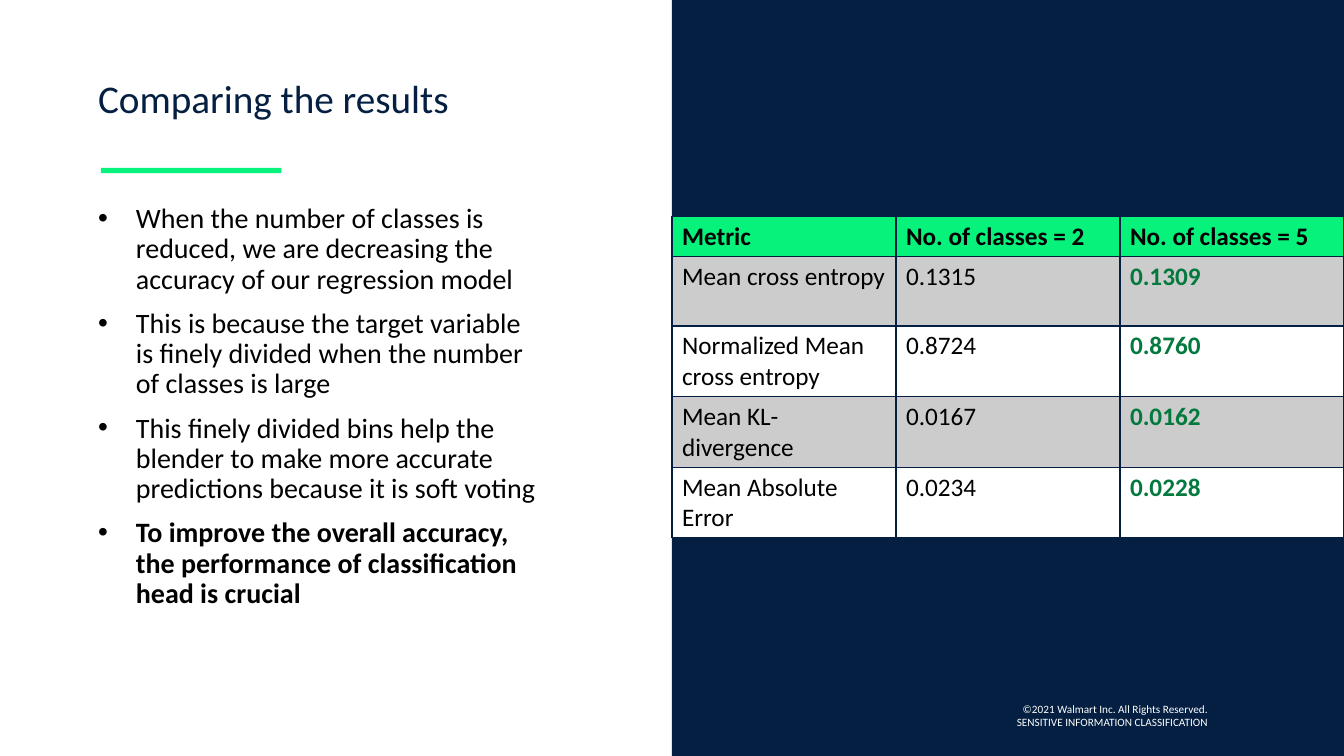
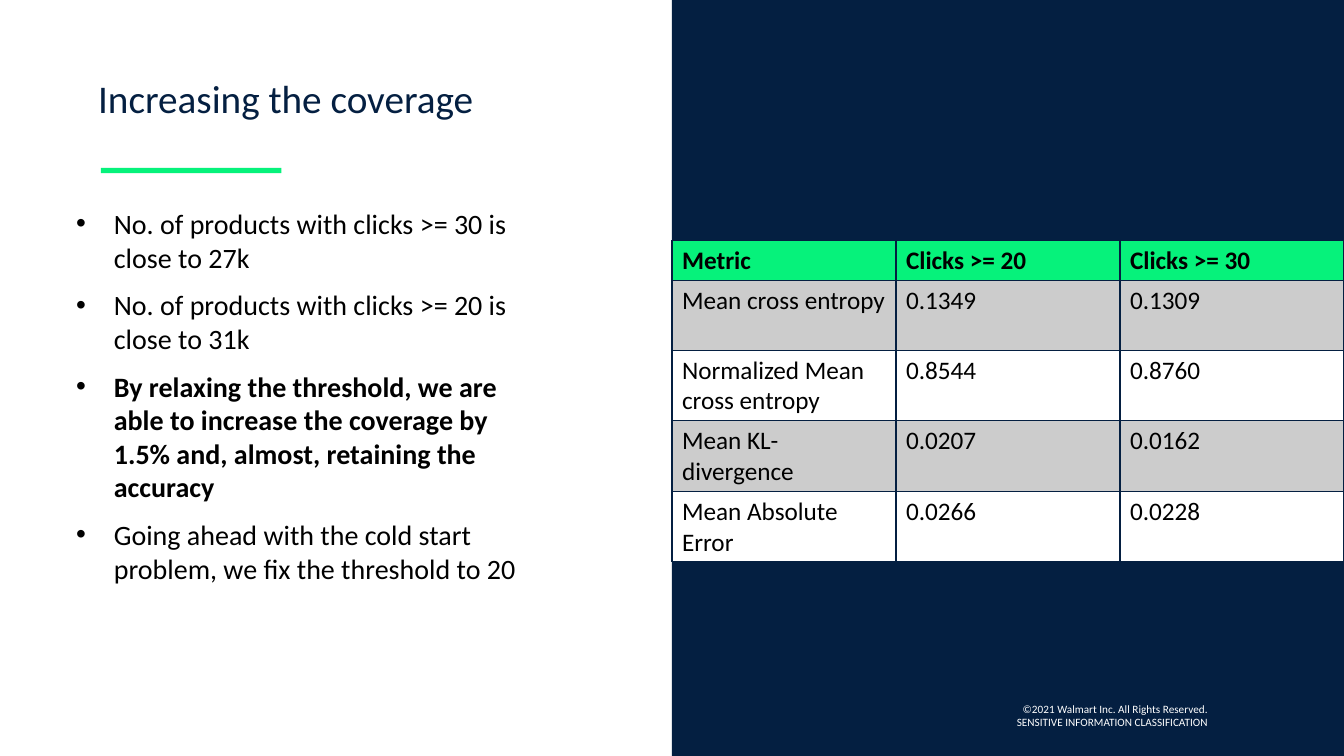
from lxml import etree
from pptx import Presentation
from pptx import util as u
from pptx.dml.color import RGBColor
from pptx.enum import shapes, text
from pptx.oxml import ns

PX = 9525
WIDE, HIGH, HALF = 1280, 720, 640
FONT = "Calibri"
HUES = {"navy": "041F41", "lime": "06F27B", "gray": "CCCCCC",
        "white": "FFFFFF", "black": "000000", "green": "03793D"}
FOOT = "©2021 Walmart Inc. All Rights Reserved.\vSENSITIVE INFORMATION CLASSIFICATION"
NAMES = ["Mean cross entropy", "Normalized Mean cross entropy",
         "Mean KL-divergence", "Mean Absolute Error"]
PAGES = [
    {"title": "Comparing the results",
     "body": (84, 190, 437, 454), "lead": 0.9, "strong": 3,
     "items": [
         "When the number of classes is reduced, we are decreasing the accuracy of our regression model",
         "This is because the target variable is finely divided when the number of classes is large",
         "This finely divided bins help the blender to make more accurate predictions because it is soft voting",
         "To improve the overall accuracy, the performance of classification head is crucial"],
     "top": 206, "best": 2,
     "head": ["Metric", "No. of classes = 2", "No. of classes = 5"],
     "data": [("0.1315", "0.1309"), ("0.8724", "0.8760"),
              ("0.0167", "0.0162"), ("0.0234", "0.0228")]},
    {"title": "Increasing the coverage",
     "body": (63, 192, 449, 485), "lead": 1.0, "strong": 2,
     "items": [
         "No. of products with clicks >= 30 is close to 27k",
         "No. of products with clicks >= 20 is close to 31k",
         "By relaxing the threshold, we are able to increase the coverage by 1.5% and, almost, retaining the accuracy",
         "Going ahead with the cold start problem, we fix the threshold to 20"],
     "top": 229, "best": None,
     "head": ["Metric", "Clicks >= 20", "Clicks >= 30"],
     "data": [("0.1349", "0.1309"), ("0.8544", "0.8760"),
              ("0.0207", "0.0162"), ("0.0266", "0.0228")]},
]


def style(frame, size, hue, bold=False):
    for para in frame.paragraphs:
        for run in para.runs:
            run.font.name = FONT
            run.font.size = u.Pt(size)
            run.font.bold = bold
            run.font.color.rgb = RGBColor.from_string(HUES[hue])


def write(slide, box, words, size, hue):
    frame = slide.shapes.add_textbox(*[n * PX for n in box]).text_frame
    frame.word_wrap = True
    frame.text = words
    style(frame, size, hue)
    return frame


deck = Presentation()
deck.slide_width, deck.slide_height = WIDE * PX, HIGH * PX

for page in PAGES:
    slide = deck.slides.add_slide(deck.slide_layouts[6])

    # Panel, accent bar, footer and title
    for box, hue in [((HALF, 0, HALF, HIGH), "navy"), ((96, 160, 172, 5), "lime")]:
        block = slide.shapes.add_shape(shapes.MSO_SHAPE.RECTANGLE, *[n * PX for n in box])
        block.shadow.inherit = False
        block.fill.solid()
        block.fill.fore_color.rgb = RGBColor.from_string(HUES[hue])
        block.line.fill.background()
    foot = write(slide, (857, 664, 303, 36), FOOT, 8, "white")
    foot.paragraphs[0].alignment = text.PP_ALIGN.RIGHT
    write(slide, (84, 66, 407, 55), page["title"], 28, "navy")

    # Bullets
    body = write(slide, page["body"], "\n".join(page["items"]), 20, "black")
    for i, para in enumerate(body.paragraphs):
        props = para._p.get_or_add_pPr()
        props.set("marL", str(36 * PX))
        props.set("indent", str(-36 * PX))
        etree.SubElement(props, ns.qn("a:buFont"), typeface="Arial")
        etree.SubElement(props, ns.qn("a:buChar"), char="•")
        para.line_spacing = page["lead"]
        para.space_before = u.Pt(10 if i else 0)
        para.runs[0].font.bold = i == page["strong"]

    # Table of metrics
    rows = [page["head"]] + [[name, *vals] for name, vals in zip(NAMES, page["data"])]
    cols = len(page["head"])
    grid = slide.shapes.add_table(len(rows), cols, HALF * PX, page["top"] * PX,
                                  HALF * PX, 302 * PX).table
    grid.horz_banding = False
    for r, row in enumerate(rows):
        grid.rows[r].height = (66 if r else 38) * PX
        fill = "lime" if r == 0 else "gray" if r % 2 else "white"
        for c, words in enumerate(row):
            cell = grid.cell(r, c)
            props = cell._tc.get_or_add_tcPr()
            for side in ("lnL", "lnR", "lnT", "lnB"):
                edge = etree.SubElement(props, ns.qn("a:" + side), w=str(u.Pt(1)))
                solid = etree.SubElement(edge, ns.qn("a:solidFill"))
                etree.SubElement(solid, ns.qn("a:srgbClr"), val=HUES["navy"])
            cell.fill.solid()
            cell.fill.fore_color.rgb = RGBColor.from_string(HUES[fill])
            cell.text_frame.text = words
            best = r > 0 and c == page["best"]
            style(cell.text_frame, 18, "green" if best else "black", r == 0 or best)

deck.save("out.pptx")
